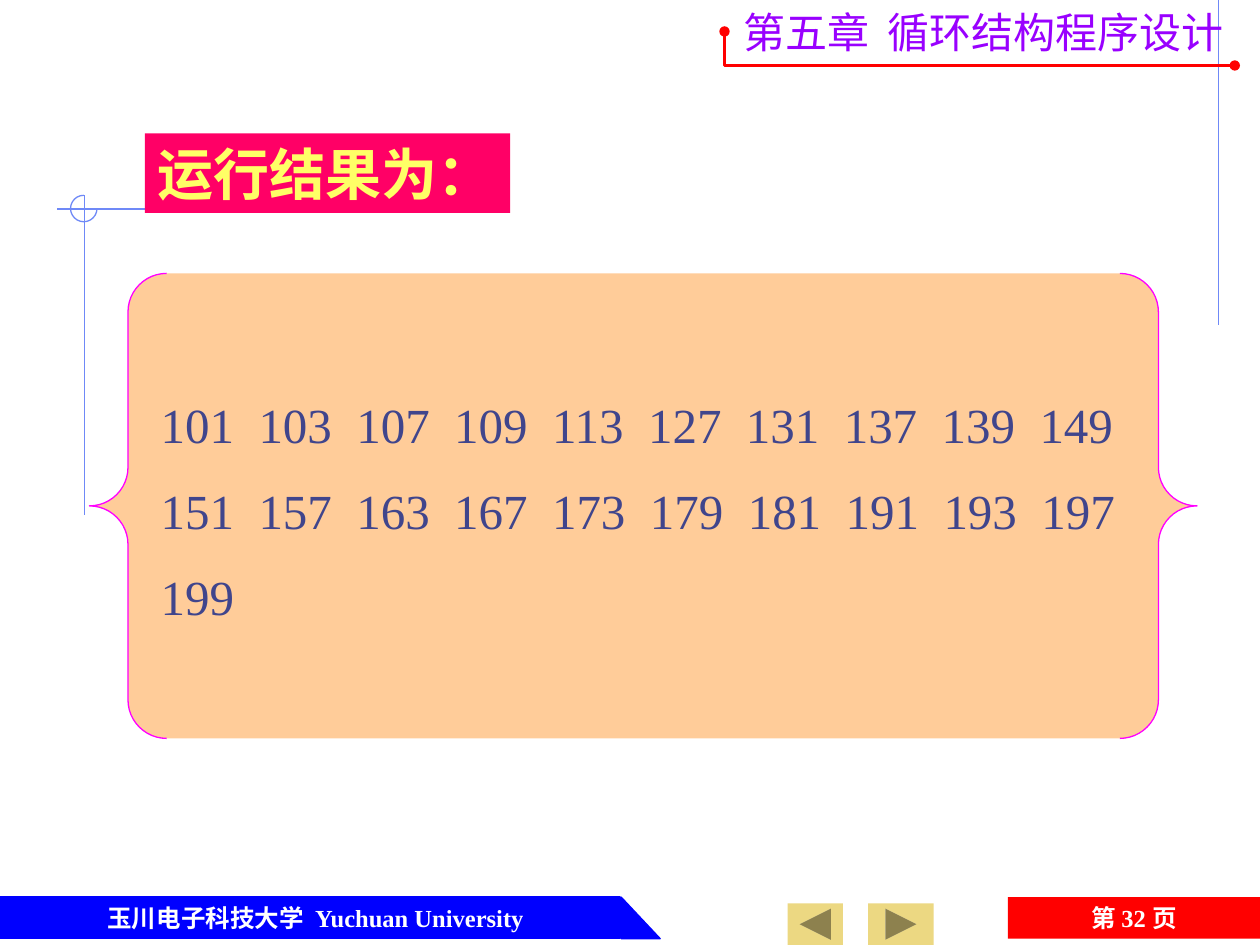
from lxml import etree
from pptx import Presentation
from pptx.dml.color import RGBColor
from pptx.enum.shapes import MSO_CONNECTOR, MSO_SHAPE
from pptx.enum.text import MSO_ANCHOR, PP_ALIGN
from pptx.oxml.ns import qn
from pptx.util import Inches, Pt

COLORS = {
    "guide": "6F89F7", "blue": "0000FF", "red": "FF0000", "white": "FFFFFF",
    "button": "ECD882", "peach": "FFCC99", "magenta": "FF00FF",
    "number": "40458C", "pink": "FF0066", "yellow": "FFFF66", "purple": "9900FF",
}
COLORS = {name: RGBColor.from_string(value) for name, value in COLORS.items()}
LATIN_FONT = "Times New Roman"
CHINESE_FONT = "Noto Sans CJK SC"

presentation = Presentation()
presentation.slide_width = Inches(10)
presentation.slide_height = Inches(7.5)
slide = presentation.slides.add_slide(presentation.slide_layouts[6])
shapes = slide.shapes


def add_shape(kind, left, top, width, height, fill=None, line=None):
    shape = shapes.add_shape(kind, Inches(left), Inches(top), Inches(width), Inches(height))
    shape.shadow.inherit = False
    if fill:
        shape.fill.solid()
        shape.fill.fore_color.rgb = COLORS[fill]
    else:
        shape.fill.background()
    if line:
        shape.line.color.rgb = COLORS[line]
        shape.line.width = Pt(0.75)
    else:
        shape.line.fill.background()
    return shape


def write_text(shape, text, size, color, font=LATIN_FONT, bold=False,
               align=PP_ALIGN.LEFT, wrap=True):
    text_frame = shape.text_frame
    text_frame.text = text
    text_frame.word_wrap = wrap
    text_frame.vertical_anchor = MSO_ANCHOR.MIDDLE
    for paragraph in text_frame.paragraphs:
        paragraph.alignment = align
        for run in paragraph.runs:
            run.font.size = Pt(size)
            run.font.bold = bold
            run.font.name = font
            run.font.color.rgb = COLORS[color]
            properties = run.font._element
            etree.SubElement(properties, qn("a:ea"), typeface=CHINESE_FONT)


# Guide lines with a three-quarter circle at their crossing
for x1, y1, x2, y2 in [(9.67, 0, 9.67, 2.58), (2.4, 1.66, 0.45, 1.66), (0.67, 1.55, 0.67, 4.09)]:
    guide = shapes.add_connector(
        MSO_CONNECTOR.STRAIGHT, Inches(x1), Inches(y1), Inches(x2), Inches(y2))
    guide.line.color.rgb = COLORS["guide"]
    guide.line.width = Pt(0.75)
    etree.SubElement(guide._element.spPr, qn("a:effectLst"))
arc = add_shape(MSO_SHAPE.ARC, 0.56, 1.55, 0.21, 0.21, line="guide")
arc.adjustments[0] = 0
arc.adjustments[1] = 162  # 270 degrees

# Footer
add_shape(MSO_SHAPE.RECTANGLE, 0, 7.12, 4.92, 0.33, "blue", "blue")
add_shape(MSO_SHAPE.RIGHT_TRIANGLE, 4.93, 7.12, 0.31, 0.33, "blue", "blue")
school = shapes.add_textbox(Inches(0.29), Inches(7.12), Inches(4.43), Inches(0.33))
write_text(school, "玉川电子科技大学  Yuchuan University", 14, "white", bold=True,
           align=PP_ALIGN.CENTER)
page = add_shape(MSO_SHAPE.RECTANGLE, 8, 7.12, 2, 0.33, "red")
write_text(page, "第 32 页", 14, "white", bold=True, align=PP_ALIGN.CENTER)

# Navigation buttons
for left, width, rotation in [(6.89, 0.52, 0), (6.25, 0.44, 180)]:
    button = add_shape(MSO_SHAPE.ACTION_BUTTON_FORWARD_OR_NEXT, left, 7.17, width, 0.33, "button")
    button.rotation = rotation

# Program output in braces
braces = add_shape(MSO_SHAPE.DOUBLE_BRACE, 0.71, 2.17, 8.79, 3.69, "peach", "magenta")
braces.adjustments[0] = 0.083
primes = shapes.add_textbox(Inches(1.08), Inches(3.08), Inches(7.96), Inches(1.97))
write_text(primes, "\n".join([
    " 101  103  107  109  113  127  131  137  139  149",
    " 151  157  163  167  173  179  181  191  193  197",
    " 199",
]), 28, "number")
primes.text_frame.vertical_anchor = MSO_ANCHOR.TOP
for paragraph in primes.text_frame.paragraphs:
    paragraph.space_before = Pt(15.5)

heading = add_shape(MSO_SHAPE.RECTANGLE, 1.15, 1.06, 2.9, 0.63, "pink")
write_text(heading, "运行结果为：", 32, "yellow", bold=True)

# Chapter title with its angled underline
chapter = shapes.add_textbox(Inches(5.8), Inches(0), Inches(4.2), Inches(0.5))
write_text(chapter, "第五章  循环结构程序设计", 24, "purple", CHINESE_FONT, wrap=False)
builder = shapes.build_freeform(Inches(5.75), Inches(0.25))
builder.add_line_segments(
    [(Inches(5.75), Inches(0.52)), (Inches(9.8), Inches(0.52))], close=False)
underline = builder.convert_to_shape()
underline.shadow.inherit = False
underline.fill.background()
underline.line.color.rgb = COLORS["red"]
underline.line.width = Pt(1.5)
for end in ("a:headEnd", "a:tailEnd"):
    etree.SubElement(underline.line._get_or_add_ln(), qn(end), type="oval")

presentation.save("out.pptx")
